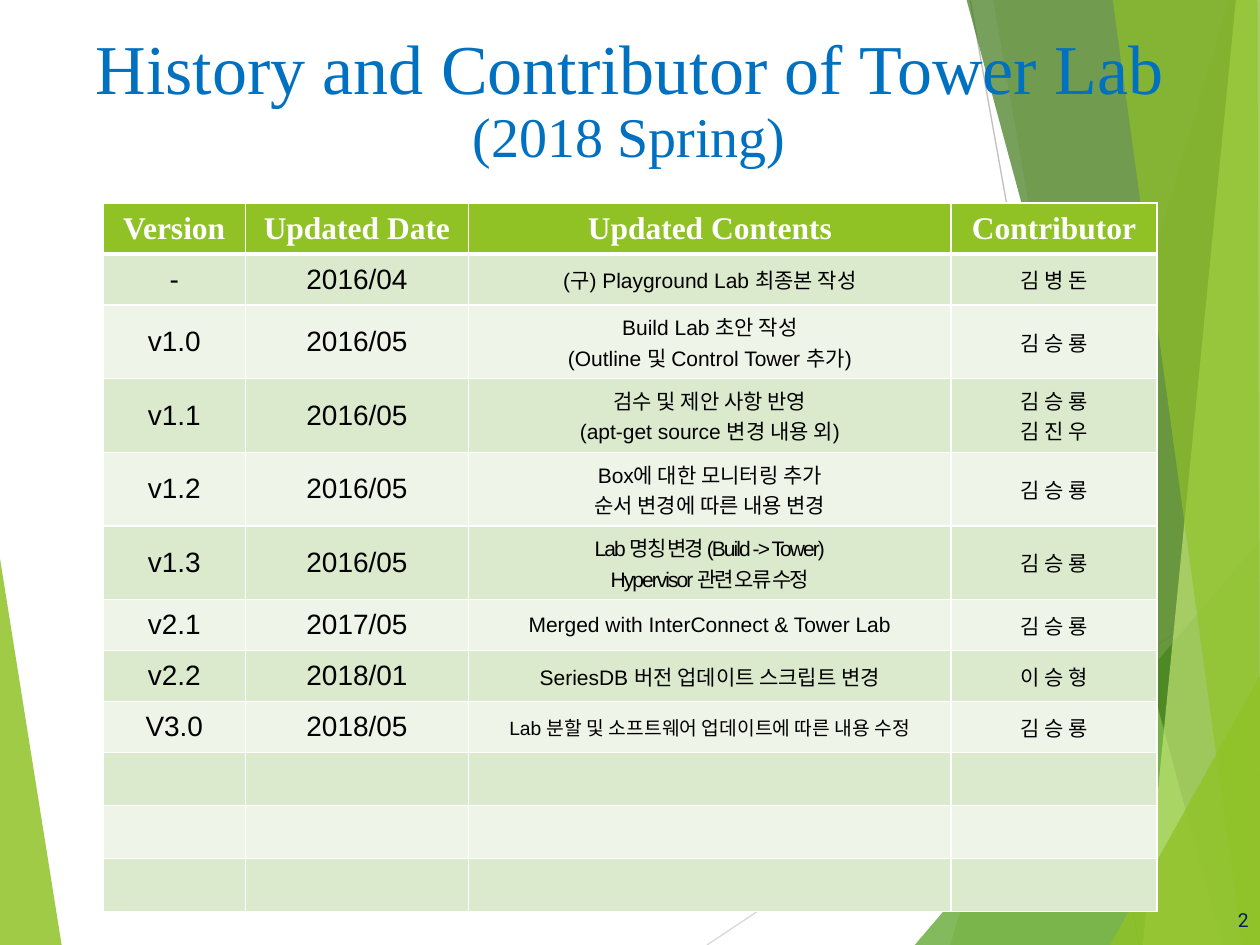
from lxml import etree
from pptx import Presentation
from pptx.dml.color import RGBColor
from pptx.enum.shapes import MSO_CONNECTOR
from pptx.enum.text import MSO_ANCHOR, PP_ALIGN
from pptx.oxml.ns import qn
from pptx.util import Pt

STRAIGHT = MSO_CONNECTOR.STRAIGHT
MIDDLE = MSO_ANCHOR.MIDDLE
CENTER, RIGHT = PP_ALIGN.CENTER, PP_ALIGN.RIGHT
TITLE_ONLY = 5
WIDTH, HEIGHT = 720, 540

GREEN, WHITE, BLACK = "90C226", "FFFFFF", "000000"
BANDS = ("DBE9CD", "EEF4E8")

# Facets from back to front: colour, opacity in percent, corners in points
LEFT_FACET = (GREEN, 85, [(-0.5, 316), (35.3, 540.5), (-0.5, 540)])
RIGHT_FACETS = [
    (GREEN, 30, [(702, 0), (543, 540), (721, 540.5), (720.5, 0.5)]),
    (GREEN, 20, [(567.4, -0.5), (661.7, 540), (720.5, 540), (720.5, -0.5)]),
    ("54A021", 72, [(522.7, 540), (720, 309), (720.5, 540)]),
    ("3F7819", 70, [(552.2, -0.5), (698.4, 540), (720.5, 540), (720.5, -0.5)]),
    ("C0E474", 70, [(706.3, -0.5), (653, 540), (720.5, 540), (720, -0.5)]),
    (GREEN, 65, [(635.8, -0.5), (710, 540), (720, 540), (718.6, -0.5)]),
    (GREEN, 80, [(634.3, 540), (720.5, 385.2), (720.5, 540)]),
]
RAYS = [
    ("D9D9D9", (404, 540), (720.5, 329)),
    ("BFBFBF", (554.4, 0), (651, 540)),
]

COLUMN_WIDTHS = (81.2, 127.6, 275.8, 117.6)
ROW_HEIGHT, SPARE_ROW_HEIGHT = 29.2, 30.3
HEADINGS = ("Version", "Updated Date", "Updated Contents", "Contributor")
# "\n" starts a paragraph, "\v" breaks a line
HISTORY = [
    ("-", "2016/04", "(구) Playground Lab 최종본 작성", "김 병 돈"),
    ("v1.0", "2016/05", "Build Lab 초안 작성\v(Outline 및 Control Tower 추가)", "김 승 룡"),
    ("v1.1", "2016/05", "검수 및 제안 사항 반영\n(apt-get source 변경 내용 외)",
     "김 승 룡\v김 진 우"),
    ("v1.2", "2016/05", "Box에 대한 모니터링 추가\n순서 변경에 따른 내용 변경", "김 승 룡"),
    ("v1.3", "2016/05", "Lab 명칭 변경 (Build -> Tower)\nHypervisor 관련 오류 수정", "김 승 룡"),
    ("v2.1", "2017/05", "Merged with InterConnect & Tower Lab", "김 승 룡"),
    ("v2.2", "2018/01", "SeriesDB 버전 업데이트 스크립트 변경", "이 승 형"),
    ("V3.0", "2018/05", "Lab 분할 및 소프트웨어 업데이트에 따른 내용 수정", "김 승 룡"),
]
SPARE_ROWS = 3
BODY_SIZES = (16, 16, 12, 12)
CONTENTS_COLUMN = 2
CONDENSED_VERSION, SMALL_VERSION = "v1.3", "V3.0"


def paint(color_format, color):
    color_format.rgb = RGBColor.from_string(color)


def style_run(span, font, size, color, bold=False):
    span.font.name = font
    span.font.size = Pt(size)
    span.font.bold = bold
    paint(span.font.color, color)


def place(shape, box):
    shape.left, shape.top, shape.width, shape.height = map(Pt, box)


def add_facet(page, color, opacity, corners):
    points = [(Pt(x), Pt(y)) for x, y in corners]
    builder = page.shapes.build_freeform(*points[0])
    builder.add_line_segments(points[1:], close=True)
    facet = builder.convert_to_shape()
    facet.shadow.inherit = False
    facet.line.fill.background()
    facet.fill.solid()
    paint(facet.fill.fore_color, color)
    tint = facet._element.spPr.find(".//" + qn("a:srgbClr"))
    etree.SubElement(tint, qn("a:alpha"), val=str(opacity * 1000))


def add_ray(page, color, start, end):
    ray = page.shapes.add_connector(STRAIGHT, *map(Pt, start + end))
    ray.line.width = Pt(0.75)
    paint(ray.line.color, color)
    etree.SubElement(ray._element.spPr, qn("a:effectLst"))


def add_backdrop(page):
    add_facet(page, *LEFT_FACET)
    for ray in RAYS:
        add_ray(page, *ray)
    for facet in RIGHT_FACETS:
        add_facet(page, *facet)


def add_title(page, box):
    title = page.shapes.title
    place(title, box)
    page.shapes._spTree.append(title._element)  # in front of the backdrop
    title.text_frame.vertical_anchor = MIDDLE
    title.text_frame.word_wrap = True
    para = title.text_frame.paragraphs[0]
    para.alignment = CENTER
    para.line_spacing = 0.9
    for text, size in (("History and Contributor of Tower Lab ", 40), ("(2018 Spring)", 32)):
        span = para.add_run()
        span.text = text
        style_run(span, "Times New Roman", size, "0070C0")


def set_borders(cell, top, bottom):
    properties = cell._tc.get_or_add_tcPr()
    for side, width in (("L", 1), ("R", 1), ("T", top), ("B", bottom)):
        edge = etree.SubElement(properties, qn("a:ln" + side), w=str(Pt(width)))
        fill = etree.SubElement(edge, qn("a:solidFill"))
        etree.SubElement(fill, qn("a:srgbClr"), val=WHITE)


def fill_cell(cell, text, color, font, size, ink, bold=False, spacing=0):
    cell.fill.solid()
    paint(cell.fill.fore_color, color)
    cell.vertical_anchor = MIDDLE
    cell.text_frame.text = text
    for para in cell.text_frame.paragraphs:
        para.alignment = CENTER
        for span in para.runs:
            style_run(span, font, size, ink, bold)
            if spacing:
                span._r.get_or_add_rPr().set("spc", str(spacing))


def add_history(page, left, top):
    rows = [HEADINGS] + HISTORY + [("",) * len(HEADINGS)] * SPARE_ROWS
    heights = [ROW_HEIGHT] * (1 + len(HISTORY)) + [SPARE_ROW_HEIGHT] * SPARE_ROWS
    frame = page.shapes.add_table(
        len(rows), len(HEADINGS), Pt(left), Pt(top),
        Pt(sum(COLUMN_WIDTHS)), Pt(sum(heights)))
    table = frame.table
    for column, width in zip(table.columns, COLUMN_WIDTHS):
        column.width = Pt(width)
    for r, texts in enumerate(rows):
        table.rows[r].height = Pt(heights[r])
        for c, text in enumerate(texts):
            cell = table.cell(r, c)
            set_borders(cell, top=3 if r == 1 else 1, bottom=3 if r == 0 else 1)
            if r == 0:
                fill_cell(cell, text, GREEN, "Times New Roman", 18, WHITE, bold=True)
                continue
            is_contents = c == CONTENTS_COLUMN
            small = is_contents and texts[0] == SMALL_VERSION
            condensed = is_contents and texts[0] == CONDENSED_VERSION
            fill_cell(cell, text, BANDS[(r - 1) % 2], "Arial",
                      11 if small else BODY_SIZES[c], BLACK,
                      spacing=-110 if condensed else 0)


def add_page_number(page, box, number):
    label = page.shapes.add_textbox(*map(Pt, box))
    label.text_frame.word_wrap = True
    label.text_frame.vertical_anchor = MIDDLE
    para = label.text_frame.paragraphs[0]
    para.text = number
    para.alignment = RIGHT
    style_run(para.runs[0], "Roboto", 11, "002060")


def main():
    deck = Presentation()
    deck.slide_width, deck.slide_height = Pt(WIDTH), Pt(HEIGHT)
    page = deck.slides.add_slide(deck.slide_layouts[TITLE_ONLY])
    add_backdrop(page)
    add_title(page, (31.7, 25.2, 656, 66.2))
    add_history(page, 59, 116)
    add_page_number(page, (680.4, 511.2, 40.3, 28.8), "2")
    deck.save("out.pptx")


if __name__ == "__main__":
    main()
